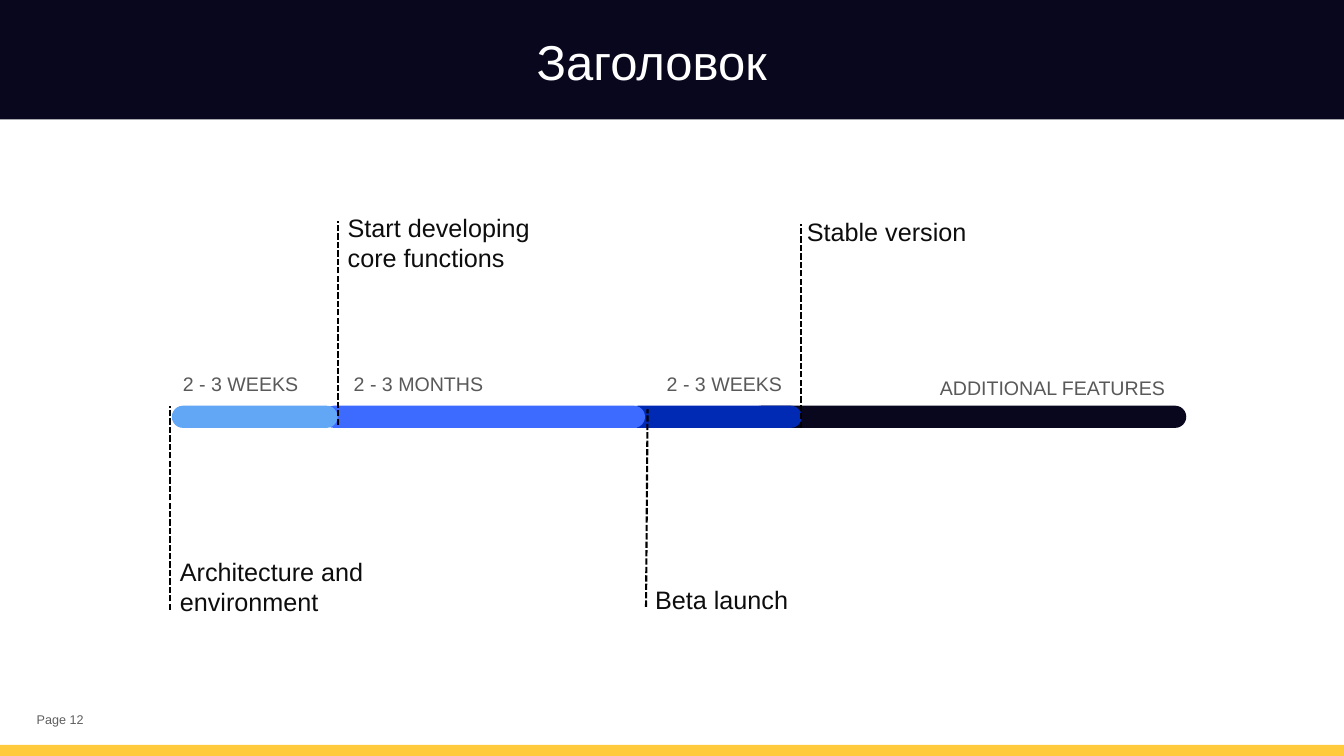
"""Build a product roadmap slide with a four-phase timeline."""
from lxml import etree
from pptx import Presentation
from pptx.dml.color import RGBColor
from pptx.enum import dml, shapes, text
from pptx.oxml import ns
from pptx.util import Inches, Pt

COLORS = {
    "navy": "08071E", "blue": "002AB3", "bright": "3D6AFF", "sky": "61A7F5",
    "yellow": "FFCB3D", "white": "FFFFFF", "black": "000000",
    "ink": "0D0D0D", "gray": "595959", "footer": "5E5E5E",
}


def add_bar(kind, left, top, width, height, color):
    sp = s.shapes.add_shape(kind, Inches(left), Inches(top), Inches(width), Inches(height))
    sp.shadow.inherit = False
    sp.fill.solid()
    sp.fill.fore_color.rgb = RGBColor.from_string(COLORS[color])
    sp.line.fill.background()
    return sp


def set_text(sp, lines, size, color, align=text.PP_ALIGN.LEFT):
    tf = sp.text_frame
    tf.text = lines
    tf.word_wrap = False
    tf.auto_size = text.MSO_AUTO_SIZE.SHAPE_TO_FIT_TEXT
    tf.vertical_anchor = text.MSO_ANCHOR.MIDDLE
    tf.margin_left = tf.margin_right = tf.margin_top = tf.margin_bottom = Inches(0.06)
    for p in tf.paragraphs:
        p.alignment = align
        p.font.name = "Arial"
        p.font.size = Pt(size)
        p.font.color.rgb = RGBColor.from_string(COLORS[color])


prs = Presentation()
prs.slide_width, prs.slide_height = Inches(26.67), Inches(15)
s = prs.slides.add_slide(prs.slide_layouts[5])

RECT = shapes.MSO_SHAPE.RECTANGLE
header = add_bar(RECT, 0, 0, 26.67, 2.37, "navy")
add_bar(RECT, 0, 14.78, 26.67, 0.22, "yellow")

title = s.shapes.title
title.left, title.top, title.width, title.height = map(Inches, (10.59, 0.56, 5.48, 1.29))
set_text(title, "Заголовок", 70, "white")
header._element.addnext(title._element)

phases = [
    (14.89, 8.65, "navy"),
    (12.44, 3.47, "blue"),
    (6.41, 6.39, "bright"),
    (3.41, 3.29, "sky"),
]
for left, width, color in phases:
    sp = add_bar(shapes.MSO_SHAPE.ROUNDED_RECTANGLE, left, 8.05, width, 0.44, color)
    sp.adjustments[0] = 0.5

milestones = [
    (15.89, 8.49, 15.89, 4.45),
    (12.82, 12.04, 12.85, 8.12),
    (6.71, 8.43, 6.71, 4.38),
    (3.37, 12.1, 3.37, 8.05),
]
for ends in milestones:
    line = s.shapes.add_connector(shapes.MSO_CONNECTOR.STRAIGHT, *map(Inches, ends))
    line.line.width = Pt(3)
    line.line.color.rgb = RGBColor.from_string(COLORS["black"])
    line.line.dash_style = dml.MSO_LINE.SQUARE_DOT
    etree.SubElement(line._element.spPr, ns.qn("a:effectLst"))

labels = [
    (3.57, 7.33, 2.59, 0.58, "2 - 3 WEEKS", 28, "gray"),
    (6.96, 7.33, 2.97, 0.58, "2 - 3 MONTHS", 28, "gray"),
    (13.17, 7.33, 2.59, 0.58, "2 - 3 WEEKS", 28, "gray"),
    (18.59, 7.41, 4.96, 0.58, "ADDITIONAL FEATURES", 28, "gray"),
    (15.95, 4.24, 3.88, 0.72, "Stable version", 36, "ink"),
    (12.94, 11.53, 3.1, 0.72, "Beta launch", 36, "ink"),
    (6.84, 4.15, 4.32, 1.32, "Start developing\ncore functions", 36, "ink"),
    (3.51, 10.97, 4.4, 1.32, "Architecture and\nenvironment", 36, "ink"),
]
for *box, lines, size, color in labels:
    set_text(s.shapes.add_textbox(*map(Inches, box)), lines, size, color)

footer = s.shapes.add_textbox(Inches(0.66), Inches(14.08), Inches(1.07), Inches(0.4))
set_text(footer, "Page 12", 18, "footer", text.PP_ALIGN.CENTER)

prs.save("out.pptx")
